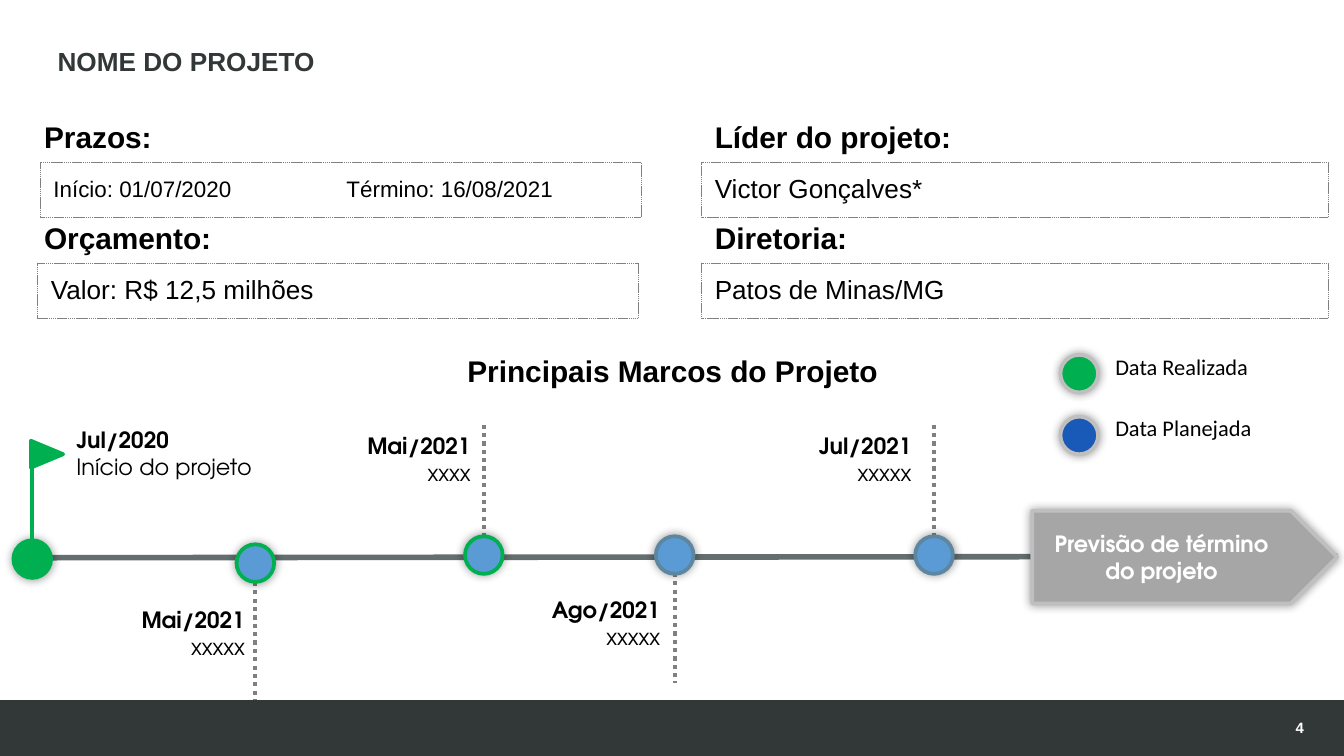
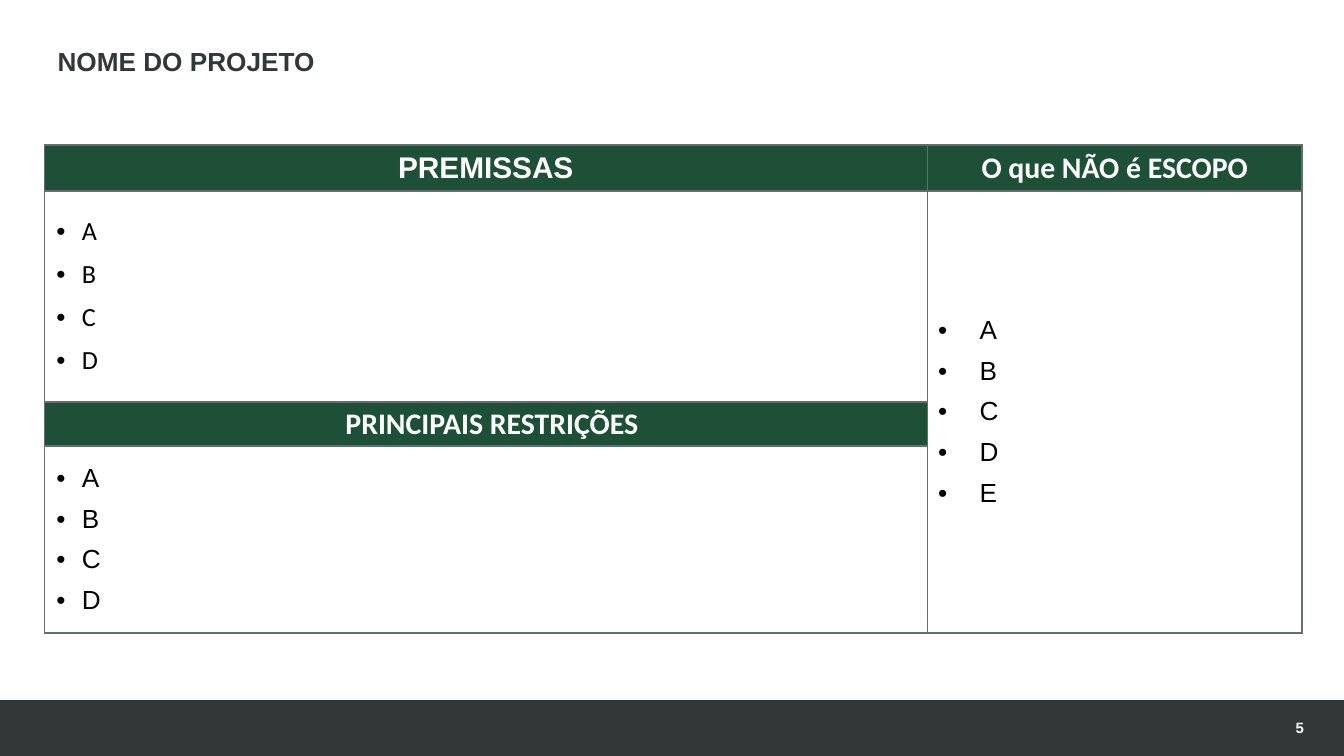
"""Build the two project status slides: milestones and scope."""
from lxml.etree import SubElement
from pptx import Presentation
from pptx.dml.color import RGBColor
from pptx.enum.dml import MSO_LINE
from pptx.enum.shapes import MSO_CONNECTOR, MSO_SHAPE
from pptx.enum.text import MSO_ANCHOR, PP_ALIGN
from pptx.oxml.ns import qn
from pptx.util import Inches, Pt

COLUMNS, ROWS = 100, 56.25
CELL = Inches(10) / COLUMNS
COLORS = {
    "white": "FFFFFF", "black": "000000", "charcoal": "323737",
    "rail": "646E6E", "dash": "808080", "header": "1E5037",
    "done": "00B050", "planned": "195AB9", "milestone": "5B9BD5",
    "open_edge": "5D86A0", "soft_edge": "BFBFBF", "arrow": "A6A6A6",
}
SANS, HUMANIST, GEOMETRIC = "Arial", "Calibri", "TeX Gyre Adventor"
CENTER, RIGHT = {"alignment": PP_ALIGN.CENTER}, {"alignment": PP_ALIGN.RIGHT}
FIELD = {"alignment": PP_ALIGN.JUSTIFY, "line_spacing": 0.9, "space_before": Pt(10)}
MIDDLE = {"vertical_anchor": MSO_ANCHOR.MIDDLE}


def grid(cells):
    """Convert grid columns or rows to a length."""
    return round(cells * CELL)


def area(*cells):
    """Convert left, top, width and height in grid cells to lengths."""
    return [grid(value) for value in cells]


def paint(target, color):
    """Give a fill or a line's fill a solid colour, or none."""
    if color is None:
        target.background()
    else:
        target.solid()
        target.fore_color.rgb = RGBColor.from_string(COLORS[color])


def assign(target, values):
    """Set each named attribute on the target."""
    for name, value in values.items():
        setattr(target, name, value)


def font(name, size, bold=False):
    """Return the format values of a font."""
    return {"name": name, "size": Pt(size), "bold": bold}


def write(frame, lines, layout=None, color="black", frame_format=None):
    """Fill a text frame with one paragraph per (text, font) pair."""
    assign(frame, {"word_wrap": True, **(frame_format or {})})
    for index, (text, style) in enumerate(lines):
        para = frame.add_paragraph() if index else frame.paragraphs[0]
        assign(para, {"alignment": PP_ALIGN.LEFT, **(layout or {})})
        span = para.add_run()
        span.text = text
        assign(span.font, style)
        span.font.color.rgb = RGBColor.from_string(COLORS[color])


def add_text(page, place, lines, layout=None, color="black", frame_format=None):
    """Add a text box."""
    box = page.shapes.add_textbox(*area(*place))
    write(box.text_frame, lines, layout, color, frame_format)
    return box


def add_shape(page, kind, place, fill=None, edge=None, width=2, glow=False):
    """Add a preset shape, with a soft halo when asked."""
    shape = page.shapes.add_shape(kind, *area(*place))
    shape.shadow.inherit = False
    paint(shape.fill, fill)
    paint(shape.line.fill, edge)
    if edge:
        shape.line.width = Pt(width)
    if glow:
        effects = shape._element.spPr.find(qn("a:effectLst"))
        halo = SubElement(effects, qn("a:outerShdw"), blurRad=str(Pt(5)), dist="0", dir="0",
                          algn="ctr", rotWithShape="0")
        tone = SubElement(halo, qn("a:srgbClr"), val=COLORS["black"])
        SubElement(tone, qn("a:alpha"), val="40000")
    return shape


def add_line(page, start, end, color, width, dash=None):
    """Add a straight line between two grid points."""
    line = page.shapes.add_connector(MSO_CONNECTOR.STRAIGHT, *area(*start, *end))
    paint(line.line.fill, color)
    line.line.width = Pt(width)
    if dash:
        line.line.dash_style = dash
    SubElement(line._element.spPr, qn("a:effectLst"))


def add_dot(page, center, top, fill, edge):
    """Add a round marker with a halo."""
    add_shape(page, MSO_SHAPE.OVAL, (center - 1.4, top, 2.8, 2.8), fill, edge, glow=True)


def add_field(page, label, value, label_left, left, label_top, width, size):
    """Add a bold label above a dashed box that holds its value."""
    box = add_shape(page, MSO_SHAPE.RECTANGLE, (left, label_top + 3.4, width, 4.1),
                    edge="dash", width=0.25)
    box.line.dash_style = MSO_LINE.SQUARE_DOT
    write(box.text_frame, [(value, font(SANS, size))], FIELD, frame_format=MIDDLE)
    if "\t" in value:
        properties = box.text_frame.paragraphs[0]._p.get_or_add_pPr()
        stops = SubElement(properties, qn("a:tabLst"))
        SubElement(stops, qn("a:tab"), pos=str(grid(21.8)), algn="l")
    add_text(page, (label_left, label_top, 25.2, 3), [(label, font(SANS, 16, True))],
             frame_format=MIDDLE)


def add_label(page, place, date, note, layout=None):
    """Add a milestone's date with its note below."""
    add_text(page, place, [(date, font(GEOMETRIC, 12, True)), (note, font(GEOMETRIC, 12))],
             layout)


def add_milestone(page, date, note, center, dot_top, stalk_top, label_right, label_top, edge):
    """Add a dotted stalk, a marker and a label on the timeline."""
    add_line(page, (center, stalk_top), (center, stalk_top + 8.8), "dash", 2.25,
             MSO_LINE.ROUND_DOT)
    add_dot(page, center, dot_top, "milestone", edge)
    add_label(page, (label_right - 20, label_top, 20, 5), date, note, RIGHT)


def add_start_flag(page):
    """Add the flag that marks the start of the project."""
    flag = add_shape(page, MSO_SHAPE.UP_ARROW, (2.5, 32.6, 2, 2.4), "done", "done")
    flag.adjustments[0], flag.adjustments[1] = 0.5, 1.63
    flag.rotation = 90
    add_dot(page, 2.4, 40.2, "done", "done")
    add_line(page, (2.4, 40.4), (2.4, 34), "done", 2)
    add_label(page, (4.7, 31.2, 21.2, 5), "Jul/2020", "Início do projeto")


def add_end_arrow(page):
    """Add the arrow that closes the timeline."""
    arrow = add_shape(page, MSO_SHAPE.RIGHT_ARROW, (76.8, 38, 22.7, 6.9), "arrow",
                      "soft_edge", glow=True)
    arrow.adjustments[0], arrow.adjustments[1] = 1, 0.5
    write(arrow.text_frame, [("Previsão de término do projeto", font(GEOMETRIC, 12, True))],
          CENTER, "white", MIDDLE)


def add_page(deck, number):
    """Add a blank page with the shared title, band and page number."""
    page = deck.slides.add_slide(deck.slide_layouts[6])
    add_shape(page, MSO_SHAPE.RECTANGLE, (-0.1, 52.1, 100.1, 4.2), "charcoal")
    add_text(page, (94.8, 52.9, 5.1, 2.5), [(str(number), font(SANS, 8, True))],
             color="white", frame_format={**MIDDLE, "margin_left": grid(1.6)})
    add_text(page, (3.3, 2.9, 93.6, 3.7), [("NOME DO PROJETO", font(SANS, 14, True))],
             color="charcoal")
    return page


def style_cell(cell, fill=None):
    """Give a table cell its borders and fill."""
    properties = cell._tc.get_or_add_tcPr()
    for side in ("lnL", "lnR", "lnT", "lnB"):
        border = SubElement(properties, qn(f"a:{side}"), w=str(Pt(1)))
        tone = SubElement(border, qn("a:solidFill"))
        SubElement(tone, qn("a:srgbClr"), val=COLORS["rail"])
    paint(cell.fill, fill)


def write_cell(cell, lines, margins, layout=None, color="black"):
    """Write a cell's text with its margins: left, top, right, bottom."""
    sides = ("margin_left", "margin_top", "margin_right", "margin_bottom")
    assign(cell, {**MIDDLE, **dict(zip(sides, area(*margins)))})
    write(cell.text_frame, lines, layout, color)


def write_bullets(cell, letters, name, margins, indent):
    """Write one bulleted paragraph per letter."""
    lines = [(letter, font(name, 14)) for letter in letters]
    write_cell(cell, lines, margins, {"space_after": Pt(6)})
    for para in cell.text_frame.paragraphs:
        properties = para._p.get_or_add_pPr()
        properties.set("marL", str(grid(indent)))
        properties.set("indent", str(-grid(indent)))
        SubElement(properties, qn("a:buFont"), typeface=SANS)
        SubElement(properties, qn("a:buChar"), char="•")


def build_milestones(deck):
    """Build the page with the project data and the timeline."""
    page = add_page(deck, 4)
    for field in (
        ("Prazos:", "Início: 01/07/2020\tTérmino: 16/08/2021", 2.3, 3, 8.7, 44.7, 12),
        ("Líder do projeto:", "Victor Gonçalves*", 52.2, 52.2, 8.7, 46.6, 14),
        ("Orçamento:", "Valor: R$ 12,5 milhões", 2.3, 2.8, 16.2, 44.7, 14),
        ("Diretoria:", "Patos de Minas/MG", 52.2, 52.2, 16.2, 46.6, 14),
    ):
        add_field(page, *field)
    heading = add_shape(page, MSO_SHAPE.RECTANGLE, (18.8, 25.8, 62.5, 3.6), "white")
    write(heading.text_frame, [("Principais Marcos do Projeto", font(SANS, 16, True))],
          CENTER, frame_format=MIDDLE)
    for row, (label, fill) in enumerate((("Data Realizada", "done"),
                                         ("Data Planejada", "planned"))):
        add_dot(page, 80.3, 26.4 + 4.6 * row, fill, "soft_edge")
        add_text(page, (82, 25.8 + 4.5 * row, 12.3, 3), [(label, font(HUMANIST, 12))],
                 frame_format={"word_wrap": False})
    add_line(page, (1, 41.5), (99.5, 41.4), "rail", 3)
    add_end_arrow(page)
    add_start_flag(page)
    for milestone in (
        ("Mai/2021", "xxxxx", 19, 40.5, 43.3, 19.2, 44.6, "done"),
        ("Mai/2021", "xxxx", 36, 39.9, 31.6, 36, 31.7, "done"),
        ("Ago/2021", "xxxxx", 50.2, 39.9, 42, 50.1, 43.9, "open_edge"),
        ("Jul/2021", "xxxxx", 69.5, 39.9, 31.6, 68.8, 31.7, "open_edge"),
    ):
        add_milestone(page, *milestone)


def build_scope(deck):
    """Build the page with the table of premises, limits and scope."""
    page = add_page(deck, 5)
    widths, heights = (65.7, 27.9), (3.4, 15.7, 3.3, 13.9)
    table = page.shapes.add_table(len(heights), len(widths),
                                  *area(3.3, 10.8, sum(widths), sum(heights))).table
    assign(table, {"first_row": False, "horz_banding": False})
    for column, width in zip(table.columns, widths):
        column.width = grid(width)
    for row, height in zip(table.rows, heights):
        row.height = grid(height)
    headers = {
        (0, 0): ("PREMISSAS", SANS, (0.1, 0.1, 0.1, 0)),
        (0, 1): ("O que NÃO é ESCOPO", HUMANIST, (0.1, 0.1, 0.1, 0)),
        (2, 0): ("PRINCIPAIS RESTRIÇÕES", HUMANIST, (0.9, 0, 0, 0)),
    }
    for row in range(len(heights)):
        for column in range(len(widths)):
            style_cell(table.cell(row, column), "header" if (row, column) in headers else None)
    table.cell(1, 1).merge(table.cell(3, 1))
    for position, (text, name, margins) in headers.items():
        write_cell(table.cell(*position), [(text, font(name, 16, True))], margins, CENTER, "white")
    write_bullets(table.cell(1, 0), "ABCD", HUMANIST, (0.9, 0, 0, 0), 1.9)
    write_bullets(table.cell(3, 0), "ABCD", SANS, (0.9, 0, 0, 0), 1.9)
    write_bullets(table.cell(1, 1), "ABCDE", SANS, (0.8, 0, 0.8, 0), 3.1)


def main():
    """Build and save the deck."""
    deck = Presentation()
    assign(deck, {"slide_width": grid(COLUMNS), "slide_height": grid(ROWS)})
    build_milestones(deck)
    build_scope(deck)
    deck.save("out.pptx")


if __name__ == "__main__":
    main()
